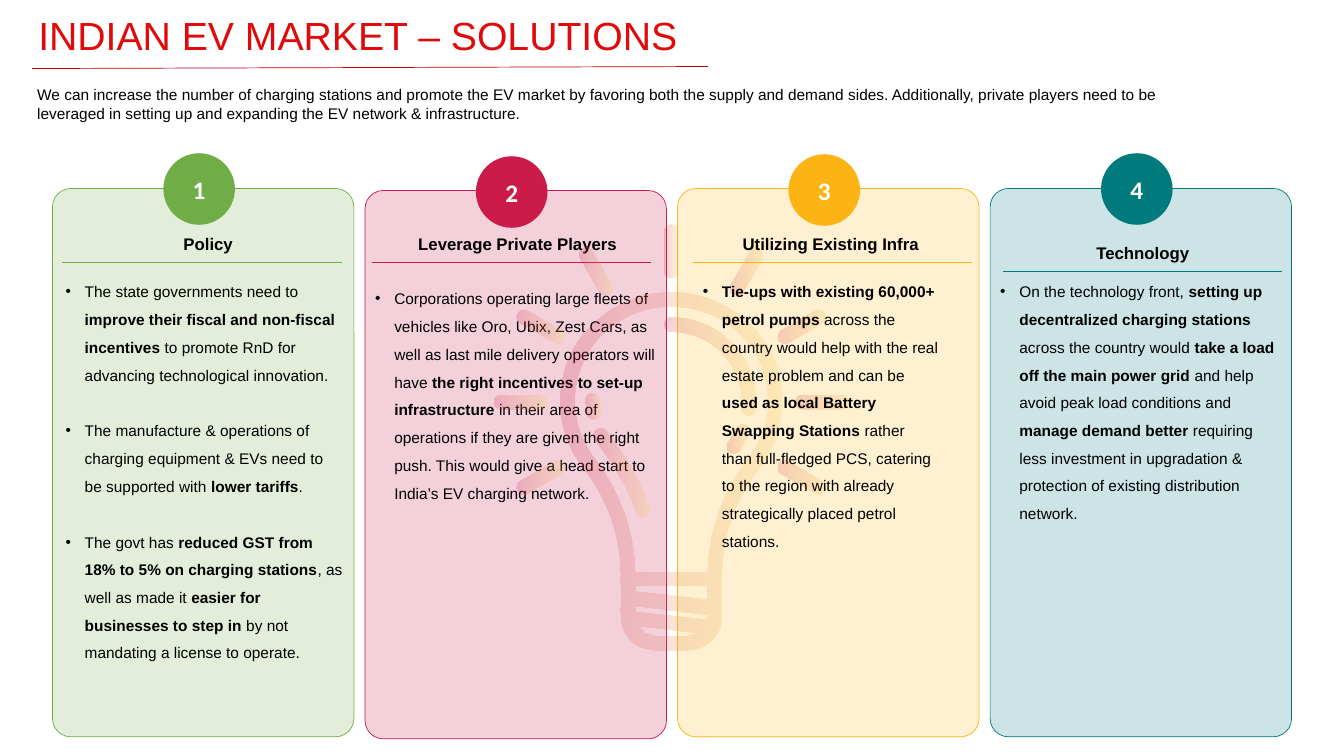
from collections import namedtuple
from math import atan2, cos, pi, radians, sin

from lxml.etree import SubElement
from pptx import Presentation
from pptx.dml.color import RGBColor
from pptx.enum.shapes import MSO_CONNECTOR as Link, MSO_SHAPE as Form
from pptx.enum.text import MSO_ANCHOR as Anchor, MSO_AUTO_SIZE as Fit, PP_ALIGN as Align
from pptx.oxml.ns import qn
from pptx.util import Inches, Pt

GREEN = RGBColor(0x70, 0xAD, 0x47)
CRIMSON = RGBColor(0xCB, 0x1B, 0x4A)
AMBER = RGBColor(0xFC, 0xB4, 0x14)
TEAL = RGBColor(0x00, 0x7A, 0x7D)
YELLOW = RGBColor(0xF6, 0xCE, 0x53)
RED = RGBColor(0xE1, 0x0A, 0x0A)
DARK_RED = RGBColor(0xC0, 0x00, 0x00)
BLACK = RGBColor(0, 0, 0)
WHITE = RGBColor(255, 255, 255)

INTRO = (
    "We can increase the number of charging stations and promote the EV market by favoring both "
    "the supply and demand sides. Additionally, private players need to be leveraged in setting up "
    "and expanding the EV network & infrastructure."
)

# Text between asterisks is bold.
Column = namedtuple("Column", "head color top badge rule head_w head_y list_box items")
COLUMNS = [
    Column("Policy", GREEN, 1.87, 1.52, 0.62, 2.77, 2.27, (0.55, 2.66, 2.97, 3.95), [
        "The state governments need to *improve their fiscal and non-fiscal incentives *"
        "to promote RnD for advancing technological innovation.",
        "The manufacture & operations of charging equipment & EVs need to be supported with "
        "*lower tariffs*.",
        "The govt has *reduced GST from 18% to 5% on charging stations*, as well as made it "
        "*easier for businesses to step in *by not mandating a license to operate.",
    ]),
    Column("Leverage Private Players", CRIMSON, 1.89, 1.55, 3.69, 2.77, 2.27,
           (3.62, 2.73, 2.99, 2.29), [
        "Corporations operating large fleets of vehicles like Oro, Ubix, Zest Cars, as well as "
        "last mile delivery operators will have *the right incentives to set-up infrastructure* "
        "in their area of operations if they are given the right push. This would give a head "
        "start to India’s EV charging network.",
    ]),
    Column("Utilizing Existing Infra", AMBER, 1.87, 1.53, 6.87, 2.62, 2.27,
           (6.87, 2.66, 2.54, 2.84), [
        "*Tie-ups with existing 60,000+ petrol pumps *across the country would help with the "
        "real estate problem and can be *used as local Battery Swapping Stations *rather than "
        "full-fledged PCS, catering to the region with already strategically placed petrol "
        "stations.",
    ]),
    Column("Technology", TEAL, 1.87, 1.52, 9.95, 2.65, 2.36, (9.82, 2.66, 2.96, 2.57), [
        "On the technology front, *setting up decentralized charging stations *across the "
        "country would *take a load off the main power grid* and help avoid peak load conditions "
        "and *manage demand better *requiring less investment in upgradation & protection of "
        "existing distribution network.",
    ]),
]

MID_X, MID_Y = 6.66, 3.99
# Right halves of the bulb, from the top down: a start, then curves of three points each.
OUTER = [(6.66, 2.9), (6.94, 2.9), (7.22, 3.01), (7.43, 3.21), (7.65, 3.41), (7.76, 3.69),
         (7.76, 3.98), (7.76, 4.21), (7.69, 4.44), (7.54, 4.63), (7.29, 4.95), (7.16, 5.32),
         (7.16, 5.7), (7.16, 5.84), (7.16, 5.98), (7.16, 6.12), (7.16, 6.3), (7.01, 6.45),
         (6.82, 6.45)]
INNER = [(6.66, 3.04), (6.91, 3.04), (7.15, 3.13), (7.34, 3.31), (7.52, 3.49), (7.62, 3.72),
         (7.62, 3.98), (7.62, 4.18), (7.55, 4.38), (7.43, 4.54), (7.17, 4.88), (7.03, 5.27),
         (7.02, 5.68)]
SLOTS = [
    [(6.3, 5.81), (7.02, 5.81), (7.02, 5.95), (6.3, 5.87)],
    [(6.3, 6.01), (7.02, 6.1), (7.02, 6.15), (6.3, 6.07)],
    [(6.33, 6.21), (6.93, 6.28), (6.82, 6.31), (6.5, 6.31), (6.4, 6.28)],
]
GLINTS = [[(5.88, 3.97), (5.89, 4.09)],
          [(5.96, 4.32), (6.04, 4.43), (6.15, 4.59), (6.27, 4.8), (6.38, 5.06)],
          [(7.37, 4.28), (7.28, 4.43)]]


def polar(angle, size, x=MID_X, y=MID_Y):
    return x + size * cos(angle), y - size * sin(angle)


def mirror(half):
    """Sample the curves of a right half and close them with the left half."""
    side = [half[0]]
    for i in range(0, len(half) - 1, 3):
        curve = half[i:i + 4]
        for t in (n / 10 for n in range(1, 11)):
            parts = ((1 - t) ** 3, 3 * t * (1 - t) ** 2, 3 * t * t * (1 - t), t ** 3)
            side.append(tuple(sum(w * p[axis] for w, p in zip(parts, curve)) for axis in (0, 1)))
    return side + [(2 * MID_X - x, y) for x, y in reversed(side[1:])]


def band(line, half=0.07):
    """Outline a thick line with round ends."""
    edge = []
    for way in (line, line[::-1]):
        for i in range(len(way)):
            (ax, ay), (bx, by) = way[max(i - 1, 0)], way[min(i + 1, len(way) - 1)]
            lean = atan2(ay - by, bx - ax)
            edge.append(polar(lean + pi / 2, half, *way[i]))
        edge += [polar(lean + pi / 2 - pi * n / 8, half, *way[-1]) for n in range(1, 8)]
    return edge


class Board:
    font = "Arial"

    def __init__(self, slide):
        self.slide = slide
        self.shapes = slide.shapes

    def style(self, part, size, color, bold=False, font=None):
        for run in part.runs:
            run.font.name = font or self.font
            run.font.size = Pt(size)
            run.font.bold = bold
            run.font.color.rgb = color

    def place(self, holder, box):
        """Move a placeholder to its box and in front of what is drawn so far."""
        holder.left, holder.top, holder.width, holder.height = map(Inches, box)
        holder.element.getparent().append(holder.element)
        holder.text_frame.auto_size = Fit.NONE
        return holder.text_frame

    def fade(self, shape):
        for color in shape.element.spPr.iter(qn("a:srgbClr")):
            SubElement(color, qn("a:alpha"), val="20000")

    def title(self, text, box):
        frame = self.place(self.shapes.title, box)
        frame.margin_left = frame.margin_right = frame.margin_top = frame.margin_bottom = 0
        frame.vertical_anchor = Anchor.MIDDLE
        frame.text = text
        part = frame.paragraphs[0]
        part.alignment, part.line_spacing = Align.LEFT, 0.85
        self.style(part, 28, RED)

    def text(self, text, box, size, bold=False, align=Align.LEFT):
        frame = self.shapes.add_textbox(*map(Inches, box)).text_frame
        frame.word_wrap = True
        frame.text = text
        frame.paragraphs[0].alignment = align
        self.style(frame.paragraphs[0], size, BLACK, bold)

    def list(self, index, box, items):
        frame = self.place(self.slide.placeholders[index], box)
        frame.vertical_anchor = Anchor.TOP
        for i, item in enumerate(items):
            part = frame.add_paragraph() if i else frame.paragraphs[0]
            for n, piece in enumerate(item.split("*")):
                if piece:
                    run = part.add_run()
                    run.text = piece
                    run.font.name, run.font.size = self.font, Pt(11)
                    run.font.bold, run.font.color.rgb = n % 2 == 1, BLACK
            part.alignment, part.line_spacing = Align.LEFT, 1.5
            part.space_before, part.space_after = Pt(20 if i else 0), Pt(0)
            props = part._p.get_or_add_pPr()
            props.set("marL", str(Inches(0.19)))
            props.set("indent", str(Inches(-0.19)))
            SubElement(props, qn("a:buFont"), typeface=self.font)
            SubElement(props, qn("a:buChar"), char="•")

    def line(self, start, end, color):
        link = self.shapes.add_connector(Link.STRAIGHT, *map(Inches, start + end))
        link.line.color.rgb, link.line.width = color, Pt(0.5)
        SubElement(link.element.spPr, qn("a:effectLst"))

    def shape(self, form, box, color):
        shape = self.shapes.add_shape(form, *map(Inches, box))
        shape.shadow.inherit = False
        shape.fill.solid()
        shape.fill.fore_color.rgb = color
        return shape

    def card(self, box, color):
        card = self.shape(Form.ROUNDED_RECTANGLE, box, color)
        card.adjustments[0] = 0.061
        self.fade(card)
        card.line.color.rgb, card.line.width = color, Pt(0.5)

    def badge(self, box, color, text):
        badge = self.shape(Form.OVAL, box, color)
        badge.line.fill.background()
        frame = badge.text_frame
        frame.vertical_anchor = Anchor.MIDDLE
        frame.text = text
        frame.paragraphs[0].alignment = Align.CENTER
        self.style(frame.paragraphs[0], 18, WHITE, True, "Calibri")

    def glow(self, *loops):
        """Draw closed loops as one shape; inner loops are holes."""
        loops = [[(Inches(x), Inches(y)) for x, y in loop] for loop in loops]
        pen = self.shapes.build_freeform(*loops[0][0])
        for i, loop in enumerate(loops):
            if i:
                pen.move_to(*loop[0])
            pen.add_line_segments(loop[1:], close=True)
        shape = pen.convert_to_shape()
        shape.shadow.inherit = False
        shape.fill.gradient()
        shape.fill.gradient_angle = 180
        for stop, color, spot in zip(shape.fill.gradient_stops, (YELLOW, CRIMSON), (0, 1)):
            stop.color.rgb, stop.position = color, spot
        self.fade(shape)
        shape.line.fill.background()


def main():
    deck = Presentation()
    deck.slide_width, deck.slide_height = Inches(13.33), Inches(7.5)
    board = Board(deck.slides.add_slide(deck.slide_layouts.get_by_name("Comparison")))
    board.title("INDIAN EV MARKET – SOLUTIONS", (0.38, 0.11, 11.94, 0.55))
    board.line((0.32, 0.68), (7.02, 0.66), DARK_RED)
    board.text(INTRO, (0.27, 0.8, 11.71, 0.47), 11)

    for i, col in enumerate(COLUMNS):
        left = 0.52 + 3.1 * i
        board.card((left, col.top, 2.99, 5.44), col.color)
        board.badge((left + 1.1, col.badge, 0.71, 0.71), col.color, str(i + 1))
        board.text(col.head, (col.rule + 0.06, col.head_y, col.head_w, 0.3), 12, True, Align.CENTER)
        level = col.head_y + 0.33
        board.line((col.rule, level), (col.rule + 2.77, level), col.color)
        board.list(i + 1, col.list_box, col.items)
        if i == 1:
            board.glow(mirror(OUTER), mirror(INNER), *SLOTS)
            arc = [polar(radians(a), 0.77) for a in range(90, -6, -5)]
            rays = [[polar(radians(a), size) for size in (1.3, 1.69)] for a in range(-30, 211, 30)]
            for line in GLINTS + [arc] + rays:
                board.glow(band(line))

    deck.save("out.pptx")


if __name__ == "__main__":
    main()
